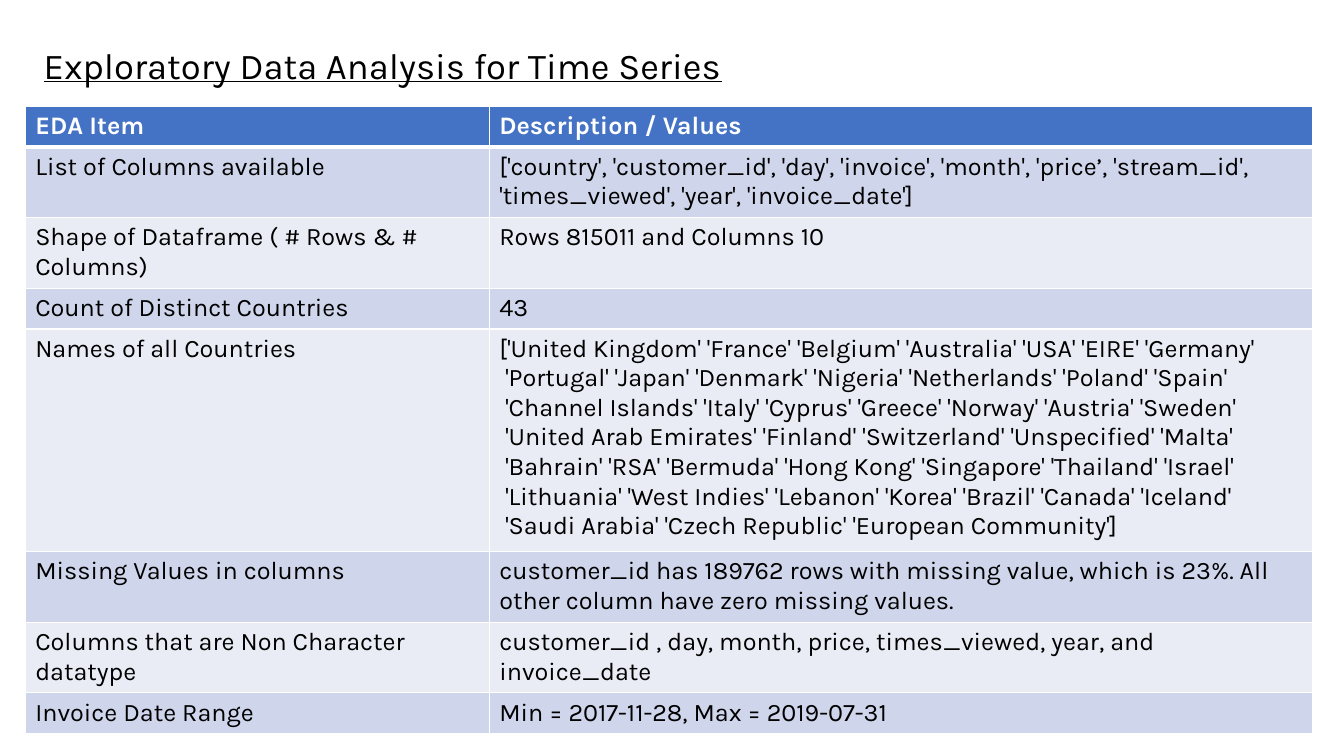
from dataclasses import dataclass

from lxml import etree
from pptx import Presentation
from pptx.dml.color import RGBColor
from pptx.enum.text import MSO_ANCHOR, MSO_AUTO_SIZE, PP_ALIGN
from pptx.oxml.ns import qn
from pptx.util import Pt

LEFT = PP_ALIGN.LEFT
MIDDLE = MSO_ANCHOR.MIDDLE
GROW = MSO_AUTO_SIZE.SHAPE_TO_FIT_TEXT
TITLE_ONLY = 5
EMU_PER_PX = 9525


@dataclass(frozen=True)
class Theme:
    font: str = "Karla"
    title_size: int = 26
    table_size: int = 18
    ink: str = "000000"
    white: str = "FFFFFF"
    header: str = "4472C4"
    bands: tuple = ("CFD5EA", "E9EBF5")
    rule: int = 1
    header_rule: int = 3


THEME = Theme()

TITLE = "Exploratory Data Analysis for Time Series"
COUNTRIES = [
    "['United Kingdom' 'France' 'Belgium' 'Australia' 'USA' 'EIRE' 'Germany'",
    " 'Portugal' 'Japan' 'Denmark' 'Nigeria' 'Netherlands' 'Poland' 'Spain'",
    " 'Channel Islands' 'Italy' 'Cyprus' 'Greece' 'Norway' 'Austria' 'Sweden'",
    " 'United Arab Emirates' 'Finland' 'Switzerland' 'Unspecified' 'Malta'",
    " 'Bahrain' 'RSA' 'Bermuda' 'Hong Kong' 'Singapore' 'Thailand' 'Israel'",
    " 'Lithuania' 'West Indies' 'Lebanon' 'Korea' 'Brazil' 'Canada' 'Iceland'",
    " 'Saudi Arabia' 'Czech Republic' 'European Community']",
]

# Row heights in px for one line, two lines and the country list
ONE_LINE, TWO_LINES, COUNTRY_LIST = 39, 67, 212
COLUMN_WIDTHS = (442, 784)

# Height, item, description
EDA_ROWS = [
    (ONE_LINE, "EDA Item", "Description / Values"),
    (TWO_LINES, "List of Columns available",
     "['country', 'customer_id', 'day', 'invoice', 'month', 'price’, "
     "'stream_id', 'times_viewed', 'year', 'invoice_date']"),
    (TWO_LINES, "Shape of Dataframe ( # Rows & # Columns)",
     "Rows 815011 and Columns 10"),
    (ONE_LINE, "Count of Distinct Countries", "43"),
    (COUNTRY_LIST, "Names of all Countries", "\n".join(COUNTRIES)),
    (TWO_LINES, "Missing Values in columns",
     "customer_id has 189762 rows with missing value, which is 23%. "
     "All other column have zero missing values."),
    (TWO_LINES, "Columns that are Non Character datatype",
     "customer_id , day, month, price, times_viewed, year, and invoice_date"),
    (ONE_LINE, "Invoice Date Range", "Min = 2017-11-28, Max = 2019-07-31"),
]


def px(length):
    return length * EMU_PER_PX


def format_text(frame, size, color, bold=False, underline=False):
    for paragraph in frame.paragraphs:
        paragraph.alignment = LEFT
        for run in paragraph.runs:
            font = run.font
            font.name = THEME.font
            font.size = Pt(size)
            font.bold = bold
            font.underline = underline
            font.color.rgb = RGBColor.from_string(color)


def add_title(slide, text, left, top, width, height):
    title = slide.shapes.title
    title.left, title.top = px(left), px(top)
    title.width, title.height = px(width), px(height)
    frame = title.text_frame
    frame.text = text
    frame.word_wrap = True
    frame.auto_size = GROW
    frame.vertical_anchor = MIDDLE
    format_text(frame, THEME.title_size, THEME.ink, underline=True)


def set_borders(cell, top, bottom):
    """Draw the white rules of a cell; widths are in points."""
    properties = cell._tc.get_or_add_tcPr()
    widths = {"lnL": THEME.rule, "lnR": THEME.rule, "lnT": top, "lnB": bottom}
    for tag, width in widths.items():
        line = etree.SubElement(properties, qn(f"a:{tag}"), w=str(Pt(width)))
        fill = etree.SubElement(line, qn("a:solidFill"))
        etree.SubElement(fill, qn("a:srgbClr"), val=THEME.white)


def fill_cell(cell, text, row):
    is_header = row == 0
    cell.text_frame.text = text
    format_text(cell.text_frame, THEME.table_size,
                THEME.white if is_header else THEME.ink, bold=is_header)
    # The thick rule lies between the header and the first data row
    set_borders(cell,
                top=THEME.header_rule if row == 1 else THEME.rule,
                bottom=THEME.header_rule if is_header else THEME.rule)
    band = THEME.header if is_header else THEME.bands[(row - 1) % 2]
    cell.fill.solid()
    cell.fill.fore_color.rgb = RGBColor.from_string(band)


def add_eda_table(slide, left, top):
    height = sum(row[0] for row in EDA_ROWS)
    table = slide.shapes.add_table(
        len(EDA_ROWS), len(COLUMN_WIDTHS), px(left), px(top),
        px(sum(COLUMN_WIDTHS)), px(height)).table
    for column, width in zip(table.columns, COLUMN_WIDTHS):
        column.width = px(width)
    for row, (row_height, *texts) in enumerate(EDA_ROWS):
        table.rows[row].height = px(row_height)
        for column, text in enumerate(texts):
            fill_cell(table.cell(row, column), text, row)


def main():
    deck = Presentation()
    deck.slide_width, deck.slide_height = px(1280), px(720)
    slide = deck.slides.add_slide(deck.slide_layouts[TITLE_ONLY])

    # Heading
    add_title(slide, TITLE, 32, 36, 1227, 52)

    # Findings
    add_eda_table(slide, 24, 101)

    deck.save("out.pptx")


if __name__ == "__main__":
    main()
